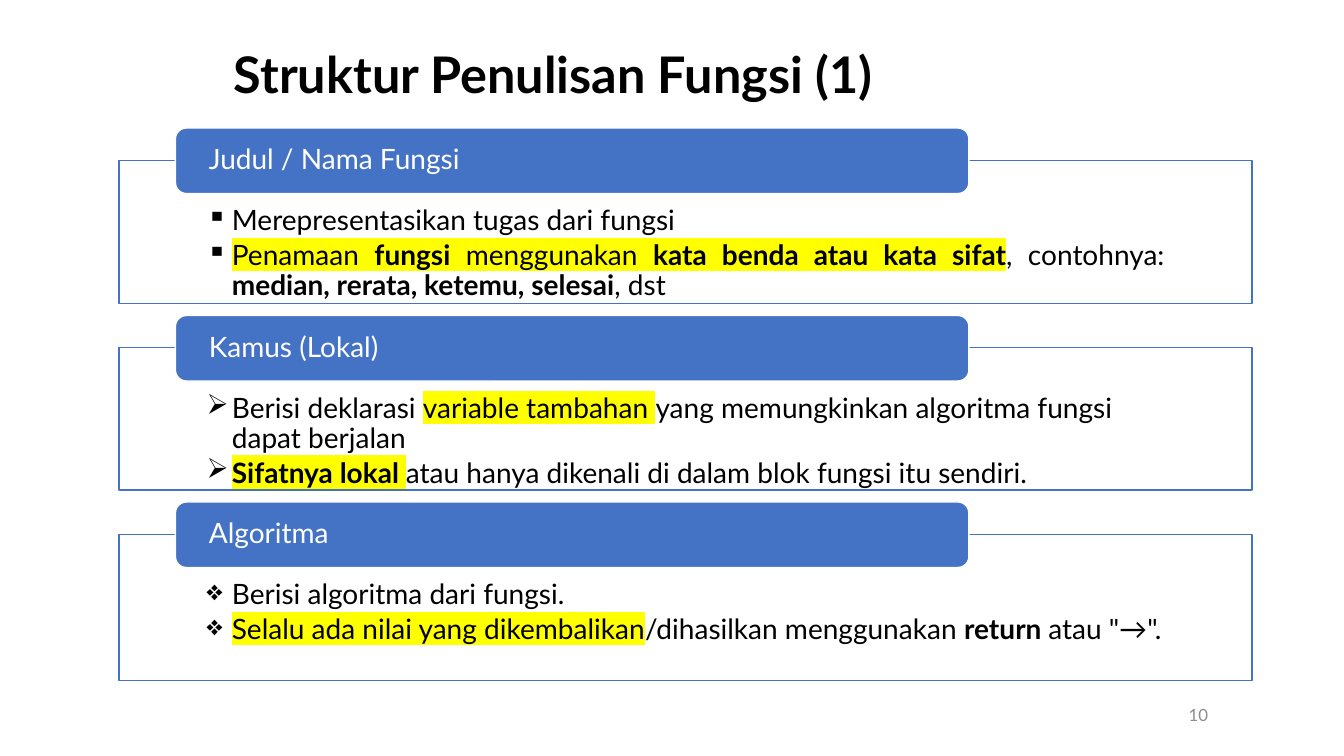
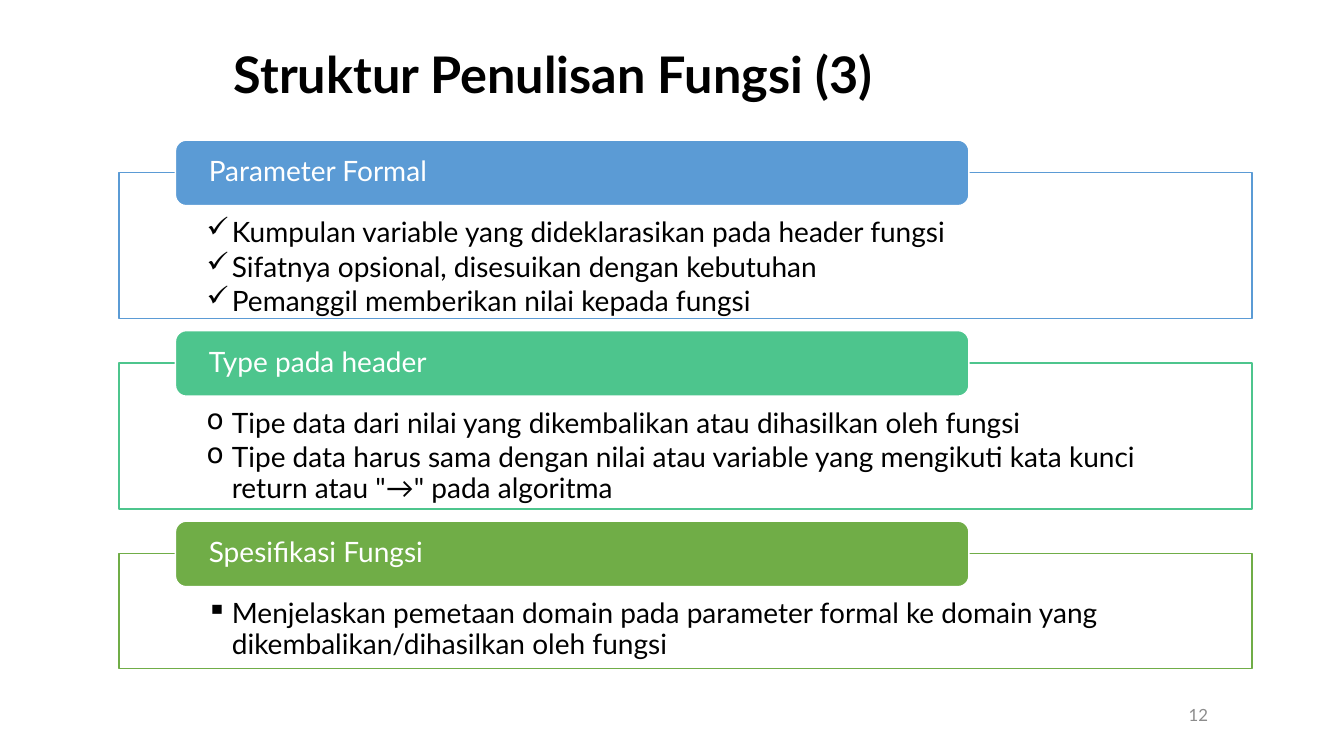
from lxml.etree import SubElement
from pptx import Presentation
from pptx.dml.color import RGBColor
from pptx.enum.shapes import MSO_SHAPE
from pptx.enum.text import MSO_ANCHOR, PP_ALIGN
from pptx.oxml.ns import qn
from pptx.util import Inches, Pt

COLORS = {
    "black": "000000", "white": "FFFFFF", "gray": "8C8C8C", "yellow": "FFFF00",
    "blue": "4472C4", "sky": "5B9BD5", "mint": "4DC58D", "green": "70AD47",
}
FONT = "Lato"
FRAME_LEFT, FRAME_WIDTH = 1.18, 11.24
HEADER_LEFT, HEADER_WIDTH, HEADER_HEIGHT = 1.74, 7.87, 0.65
HEADER_RISE, SECTION_GAP = 0.32, 0.12

SLIDES = [
    {"title": "Struktur Penulisan Fungsi (1)", "number": "10", "top": 1.27, "sections": [
        {"header": "Judul / Nama Fungsi", "color": "blue", "height": 1.42, "bullet": "▪",
         "align": PP_ALIGN.JUSTIFY, "items": [
             [("Merepresentasikan tugas dari fungsi", "")],
             [("Penamaan ", "mark"), ("fungsi", "bold mark"), (" menggunakan ", "mark"),
              ("kata benda atau kata sifat", "bold mark"), (", contohnya: ", ""),
              ("median, rerata, ketemu, selesai", "bold"), (", dst", "")]]},
        {"header": "Kamus (Lokal)", "color": "blue", "height": 1.41, "bullet": "➢", "items": [
            [("Berisi deklarasi ", ""), ("variable tambahan ", "mark"),
             ("yang memungkinkan algoritma fungsi dapat berjalan", "")],
            [("Sifatnya lokal ", "bold mark"),
             ("atau hanya dikenali di dalam blok fungsi itu sendiri.", "")]]},
        {"header": "Algoritma", "color": "blue", "height": 1.45, "bullet": "❖", "items": [
            [("Berisi algoritma dari fungsi.", "")],
            [("Selalu ada nilai yang dikembalikan", "mark"), ("/dihasilkan menggunakan ", ""),
             ("return ", "bold"), ('atau "→".', "")]]},
    ]},
    {"title": "Struktur Penulisan Fungsi (3)", "number": "12", "top": 1.39, "sections": [
        {"header": "Parameter Formal", "color": "sky", "height": 1.45, "bullet": "✓", "items": [
            [("Kumpulan variable yang dideklarasikan pada header fungsi", "")],
            [("Sifatnya opsional, disesuikan dengan kebutuhan", "")],
            [("Pemanggil memberikan nilai kepada fungsi", "")]]},
        {"header": "Type pada header", "color": "mint", "height": 1.45, "bullet": "o", "items": [
            [("Tipe data dari nilai yang dikembalikan atau dihasilkan oleh fungsi", "")],
            [("Tipe data harus sama dengan nilai atau variable yang mengikuti kata kunci "
              'return atau "→" pada algoritma', "")]]},
        {"header": "Spesifikasi Fungsi", "color": "green", "height": 1.14, "bullet": "▪", "items": [
            [("Menjelaskan pemetaan domain pada parameter formal ke domain yang "
              "dikembalikan/dihasilkan oleh fungsi", "")]]},
    ]},
]


def rgb(name):
    return RGBColor.from_string(COLORS[name])


def write_text(shape, items, size=20, color="black", align=PP_ALIGN.LEFT, bullet=None,
               anchor=MSO_ANCHOR.MIDDLE, insets=(0.1, 0.05, 0.1, 0.05)):
    frame = shape.text_frame
    frame.word_wrap = True
    frame.vertical_anchor = anchor
    (frame.margin_left, frame.margin_top,
     frame.margin_right, frame.margin_bottom) = map(Inches, insets)
    for index, runs in enumerate(items):
        para = frame.add_paragraph() if index else frame.paragraphs[0]
        para.alignment = align
        para.line_spacing = 0.9
        if bullet:
            properties = para._p.get_or_add_pPr()
            properties.set("marL", str(Inches(0.25)))
            properties.set("indent", str(Inches(-0.25)))
            SubElement(properties, qn("a:buChar"), char=bullet)
            para.space_after = Pt(3)
        for text, style in runs:
            span = para.add_run()
            span.text = text
            span.font.size = Pt(size)
            span.font.bold = "bold" in style
            span.font.color.rgb = rgb(color)
            if "mark" in style:
                highlight = SubElement(span._r.get_or_add_rPr(), qn("a:highlight"))
                SubElement(highlight, qn("a:srgbClr"), val=COLORS["yellow"])
            span.font.name = FONT


def add_box(page, kind, place, fill, line):
    box = page.shapes.add_shape(kind, *map(Inches, place))
    box.shadow.inherit = False
    box.fill.solid()
    box.fill.fore_color.rgb = rgb(fill)
    box.line.color.rgb = rgb(line)
    box.line.width = Pt(1)
    return box


def add_section(page, section, top):
    """Draw a framed list with its header tab and return the top of the next section."""
    frame_top = top + HEADER_RISE
    color = section["color"]
    frame = add_box(page, MSO_SHAPE.RECTANGLE,
                    (FRAME_LEFT, frame_top, FRAME_WIDTH, section["height"]), "white", color)
    tint = frame.fill._xPr.find(qn("a:solidFill")).find(qn("a:srgbClr"))
    SubElement(tint, qn("a:alpha"), val="90000")
    write_text(frame, section["items"], bullet=section["bullet"], anchor=MSO_ANCHOR.TOP,
               align=section.get("align", PP_ALIGN.LEFT), insets=(0.87, 0.46, 0.87, 0.16))
    header = add_box(page, MSO_SHAPE.ROUNDED_RECTANGLE,
                     (HEADER_LEFT, top, HEADER_WIDTH, HEADER_HEIGHT), color, "white")
    write_text(header, [[(section["header"], "")]], color="white", insets=(0.3, 0, 0.3, 0))
    return frame_top + section["height"] + SECTION_GAP


def add_page(deck, content):
    page = deck.slides.add_slide(deck.slide_layouts[5])
    title = page.shapes.title
    title.left, title.top, title.width, title.height = map(Inches, (2.22, 0.4, 8.87, 0.74))
    write_text(title, [[(content["title"], "bold")]], size=36)
    number = page.shapes.add_textbox(*map(Inches, (2.75, 6.9, 9.33, 0.4)))
    write_text(number, [[(content["number"], "")]], size=12, color="gray", align=PP_ALIGN.RIGHT)
    top = content["top"]
    for section in content["sections"]:
        top = add_section(page, section, top)


def main():
    deck = Presentation()
    deck.slide_width, deck.slide_height = Inches(13.33), Inches(7.5)
    for content in SLIDES:
        add_page(deck, content)
    deck.save("out.pptx")


if __name__ == "__main__":
    main()
